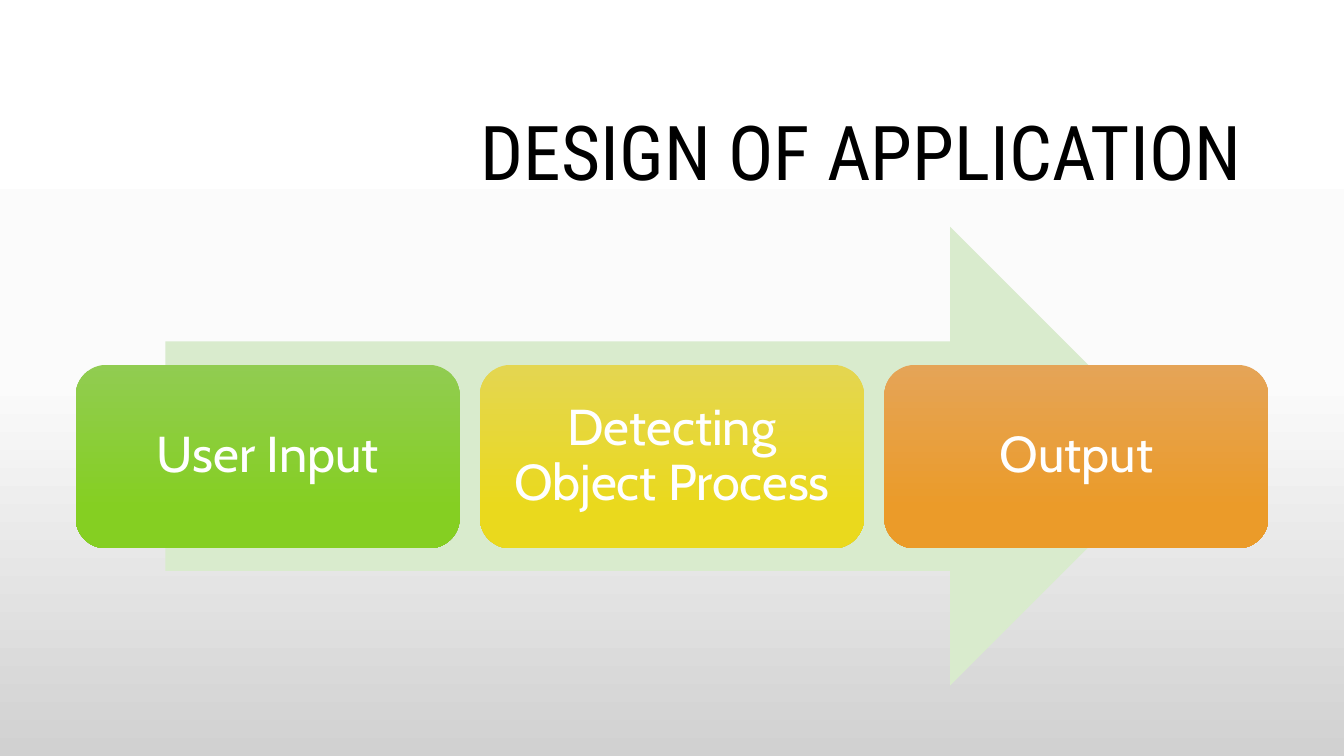
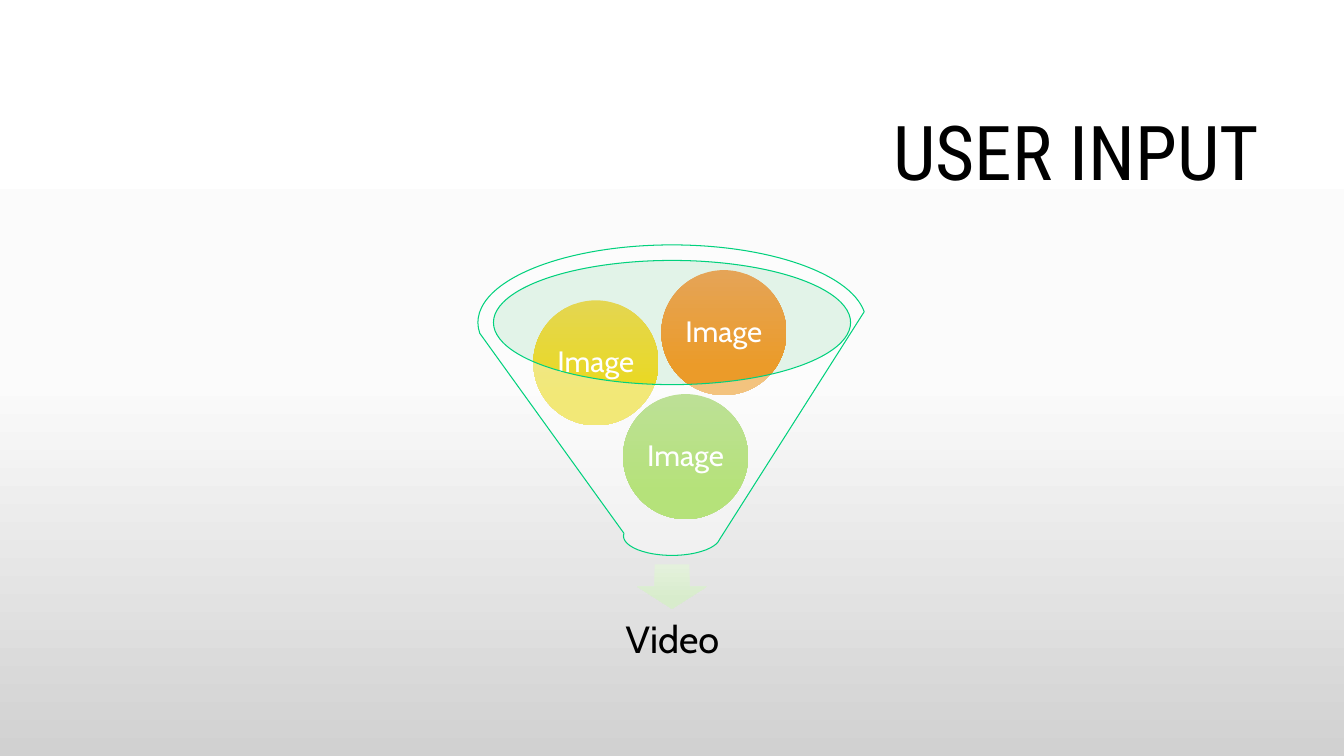
from lxml.etree import SubElement as Sub
from pptx import Presentation
from pptx.dml.color import RGBColor as RGB
from pptx.enum.shapes import MSO_SHAPE as Kind
from pptx.enum.text import MSO_ANCHOR as Anchor, PP_ALIGN as Align
from pptx.oxml.ns import qn
from pptx.util import Inches, Pt

COLORS = {
    "black": "000000",
    "white": "FFFFFF",
    "arrow": "D9EBCD",
    "rim": "01D17D",
    "mouth": "BDE9CC",
}
FADES = {
    "back": [(0, "FFFFFF"), (50, "FBFBFB"), (100, "D1D1D1")],
    "green": [(0, "91CC51"), (78, "85CF22")],
    "yellow": [(0, "E4D651"), (78, "EAD91D")],
    "orange": [(0, "E5A457"), (78, "EB9B29")],
    "pale": [(0, "E4F1DC"), (78, "D8ECCC")],
}
HEAD_FONT = "Roboto Condensed"
BODY_FONT = "Cabin"


def rgb(name):
    return RGB.from_string(COLORS[name])


def fade(fill, root, name):
    fill.gradient()
    fill.gradient_angle = 270
    stops = next(root.iter(qn("a:gsLst")))
    stops.clear()
    for place, color in FADES[name]:
        stop = Sub(stops, qn("a:gs"), pos=str(place * 1000))
        Sub(stop, qn("a:srgbClr"), val=color)


def write(shape, text, size, color="white", font=BODY_FONT,
          align=Align.CENTER, inset=0.15):
    frame = shape.text_frame
    frame.text = text
    frame.word_wrap = True
    frame.vertical_anchor = Anchor.MIDDLE
    frame.margin_left = frame.margin_right = Inches(inset)
    frame.margin_top = frame.margin_bottom = Inches(inset)
    line = frame.paragraphs[0]
    line.alignment = align
    line.line_spacing = 0.9
    for run in line.runs:
        run.font.name = font
        run.font.size = Pt(size)
        run.font.color.rgb = rgb(color)


def label(slide, box, text, size, **style):
    area = slide.shapes.add_textbox(*map(Inches, box))
    write(area, text, size, **style)


def shape(slide, kind, box, paint, alpha=None, edge=None):
    item = slide.shapes.add_shape(kind, *map(Inches, box))
    item.shadow.inherit = False
    if paint in FADES:
        fade(item.fill, item.element, paint)
    else:
        item.fill.solid()
        item.fill.fore_color.rgb = rgb(paint)
    if alpha:
        color = next(item.element.iter(qn("a:srgbClr")))
        Sub(color, qn("a:alpha"), val=str(alpha * 1000))
    if edge:
        item.line.color.rgb = rgb(edge)
        item.line.width = Pt(0.75)
    else:
        item.line.fill.background()
    return item


def page(deck, title):
    slide = deck.slides.add_slide(deck.slide_layouts[6])
    label(slide, (3.17, 0.84, 9.42, 1.41), title, 54, color="black",
          font=HEAD_FONT, align=Align.RIGHT, inset=0.1)
    return slide


def design(deck):
    slide = page(deck, "DESIGN OF APPLICATION ")
    shape(slide, Kind.RIGHT_ARROW, (1.64, 2.25, 10.06, 4.55), "arrow")
    steps = [("User Input", "green"), ("Detecting Object Process", "yellow"),
             ("Output", "orange")]
    wide, gap = 3.81, 0.2
    for i, (text, paint) in enumerate(steps):
        box = (0.75 + i * (wide + gap), 3.62, wide, 1.82)
        write(shape(slide, Kind.ROUNDED_RECTANGLE, box, paint), text, 36)


def funnel(deck):
    slide = page(deck, "USER INPUT")
    shape(slide, Kind.OVAL, (4.89, 2.58, 3.55, 1.23), "mouth", alpha=40)
    shape(slide, Kind.DOWN_ARROW, (6.32, 5.6, 0.69, 0.44), "pale")
    label(slide, (5.02, 5.95, 3.3, 0.83), "Video", 27, color="black",
          inset=0.21)
    size = 1.24
    balls = [(6.18, 3.91, "green"), (5.29, 2.98, "yellow"),
             (6.56, 2.68, "orange")]
    for left, top, paint in balls:
        ball = shape(slide, Kind.OVAL, (left, top, size, size), paint)
        write(ball, "Image", 21, inset=0.03)
    shape(slide, Kind.FUNNEL, (4.74, 2.43, 3.85, 3.08), "white", alpha=40,
          edge="rim")


def main():
    deck = Presentation()
    deck.slide_width = Inches(13.33)
    deck.slide_height = Inches(7.5)
    master = deck.slide_master
    fade(master.background.fill, master.element, "back")
    design(deck)
    funnel(deck)
    deck.save("out.pptx")


if __name__ == "__main__":
    main()
